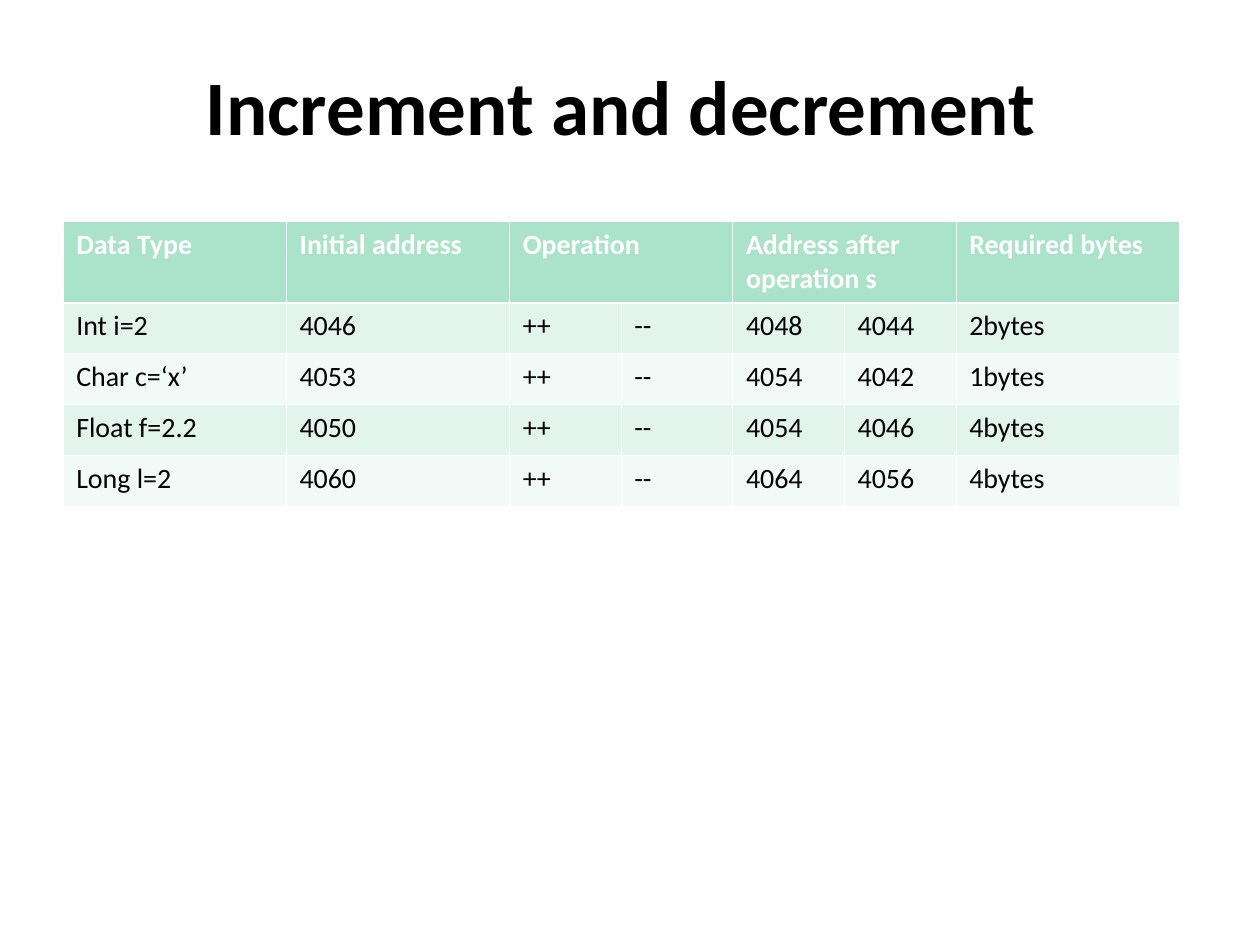
"""Build a slide with a table of pointer increment and decrement results."""
from dataclasses import dataclass

from lxml import etree
from pptx import Presentation
from pptx.dml.color import RGBColor
from pptx.enum import text
from pptx.oxml import ns
from pptx.util import Pt

TITLE = "Increment and decrement"
HEADERS = [("Data Type", 1), ("Initial address", 1), ("Operation", 2),
           ("Address after operation s", 2), ("Required bytes", 1)]
ROWS = [
    ("Int i=2", "4046", "++", "--", "4048", "4044", "2bytes"),
    ("Char c=‘x’", "4053", "++", "--", "4054", "4042", "1bytes"),
    ("Float f=2.2", "4050", "++", "--", "4054", "4046", "4bytes"),
    ("Long l=2", "4060", "++", "--", "4064", "4056", "4bytes"),
]


@dataclass(frozen=True)
class Theme:
    font: str = "Calibri"
    title_size: float = 44
    table_size: float = 16
    ink: str = "000000"
    white: str = "FFFFFF"
    header: str = "AAE2CA"
    bands: tuple = ("E2F4EC", "F1FAF6")
    thin: float = 0.45
    thick: float = 1.47


THEME = Theme()
LEFT, WIDTH = 36, 638
TITLE_TOP, TITLE_HEIGHT = 21.6, 80.6
TABLE_TOP, HEADER_HEIGHT, ROW_HEIGHT = 126.7, 45.8, 29.15
GROUP_WIDTH = WIDTH / len(HEADERS)


def style_font(paragraph, size, color, bold):
    for run in paragraph.runs:
        run.font.name = THEME.font
        run.font.size = Pt(size)
        run.font.bold = bold
        run.font.color.rgb = RGBColor.from_string(color)


def add_title(slide):
    title = slide.shapes.title
    title.left, title.top = Pt(LEFT), Pt(TITLE_TOP)
    title.width, title.height = Pt(WIDTH), Pt(TITLE_HEIGHT)
    frame = title.text_frame
    frame.text = TITLE
    frame.vertical_anchor = text.MSO_ANCHOR.MIDDLE
    paragraph = frame.paragraphs[0]
    paragraph.alignment = text.PP_ALIGN.CENTER
    paragraph.line_spacing = 0.97
    style_font(paragraph, THEME.title_size, THEME.ink, True)


def set_borders(cell, top, bottom):
    properties = cell._tc.get_or_add_tcPr()
    edges = {"lnL": THEME.thin, "lnR": THEME.thin, "lnT": top, "lnB": bottom}
    for edge, width in edges.items():
        line = etree.SubElement(properties, ns.qn(f"a:{edge}"), w=str(int(Pt(width))))
        fill = etree.SubElement(line, ns.qn("a:solidFill"))
        etree.SubElement(fill, ns.qn("a:srgbClr"), val=THEME.white)


def style_cell(cell, row):
    is_header = row == 0
    set_borders(cell, THEME.thick if row == 1 else THEME.thin,
                THEME.thick if is_header else THEME.thin)
    fill = THEME.header if is_header else THEME.bands[(row - 1) % 2]
    cell.fill.solid()
    cell.fill.fore_color.rgb = RGBColor.from_string(fill)
    cell.margin_left = cell.margin_right = Pt(7.6)
    cell.margin_top = cell.margin_bottom = Pt(3.6)
    style_font(cell.text_frame.paragraphs[0], THEME.table_size,
               THEME.white if is_header else THEME.ink, is_header)


def add_address_table(slide):
    spans = [span for _, span in HEADERS]
    height = HEADER_HEIGHT + ROW_HEIGHT * len(ROWS)
    table = slide.shapes.add_table(len(ROWS) + 1, sum(spans), Pt(LEFT), Pt(TABLE_TOP),
                                   Pt(WIDTH), Pt(height)).table
    column = 0
    for label, span in HEADERS:
        table.cell(0, column).text = label
        if span > 1:
            table.cell(0, column).merge(table.cell(0, column + span - 1))
        for offset in range(span):
            table.columns[column + offset].width = Pt(GROUP_WIDTH / span)
        column += span
    for row, values in enumerate(ROWS, 1):
        for column, value in enumerate(values):
            table.cell(row, column).text = value
    for row, table_row in enumerate(table.rows):
        table_row.height = Pt(ROW_HEIGHT if row else HEADER_HEIGHT)
        for cell in table_row.cells:
            style_cell(cell, row)


def main():
    presentation = Presentation()
    presentation.slide_width, presentation.slide_height = Pt(720), Pt(540)
    slide = presentation.slides.add_slide(presentation.slide_layouts[5])
    add_title(slide)
    add_address_table(slide)
    presentation.save("out.pptx")


if __name__ == "__main__":
    main()
